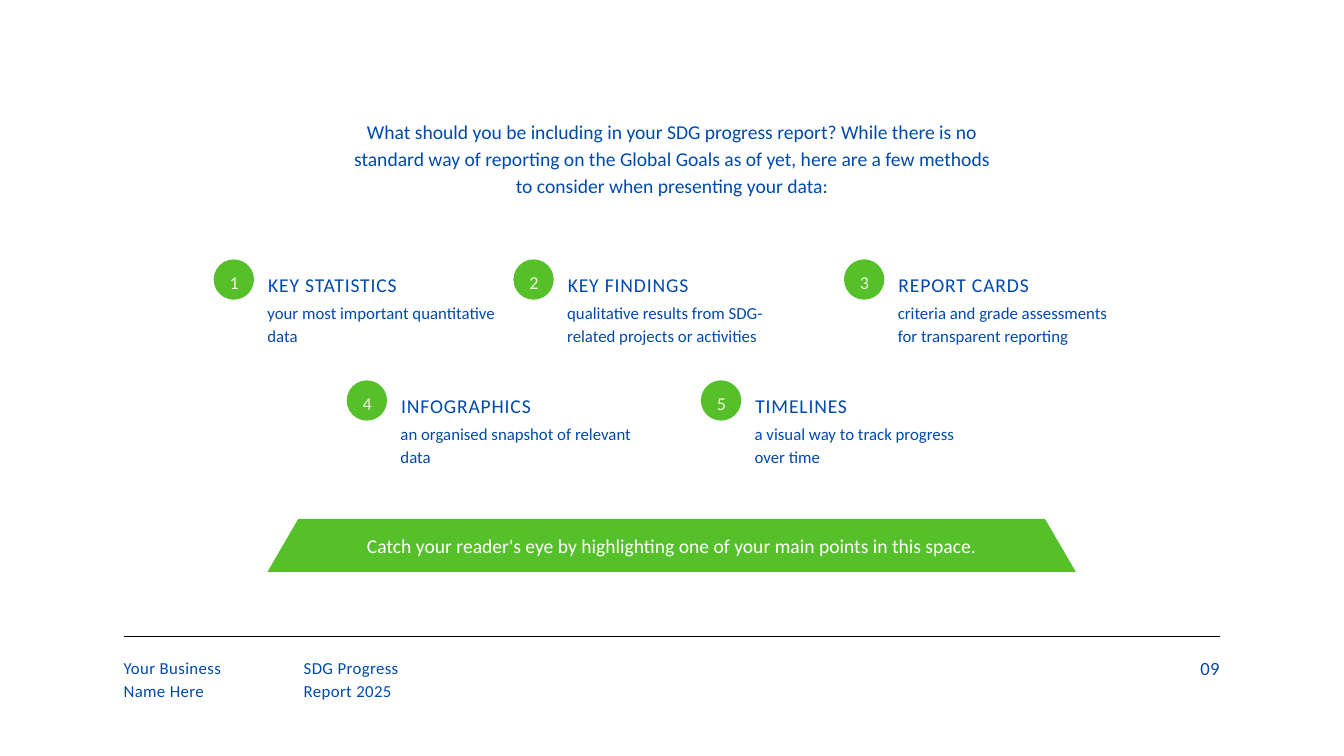
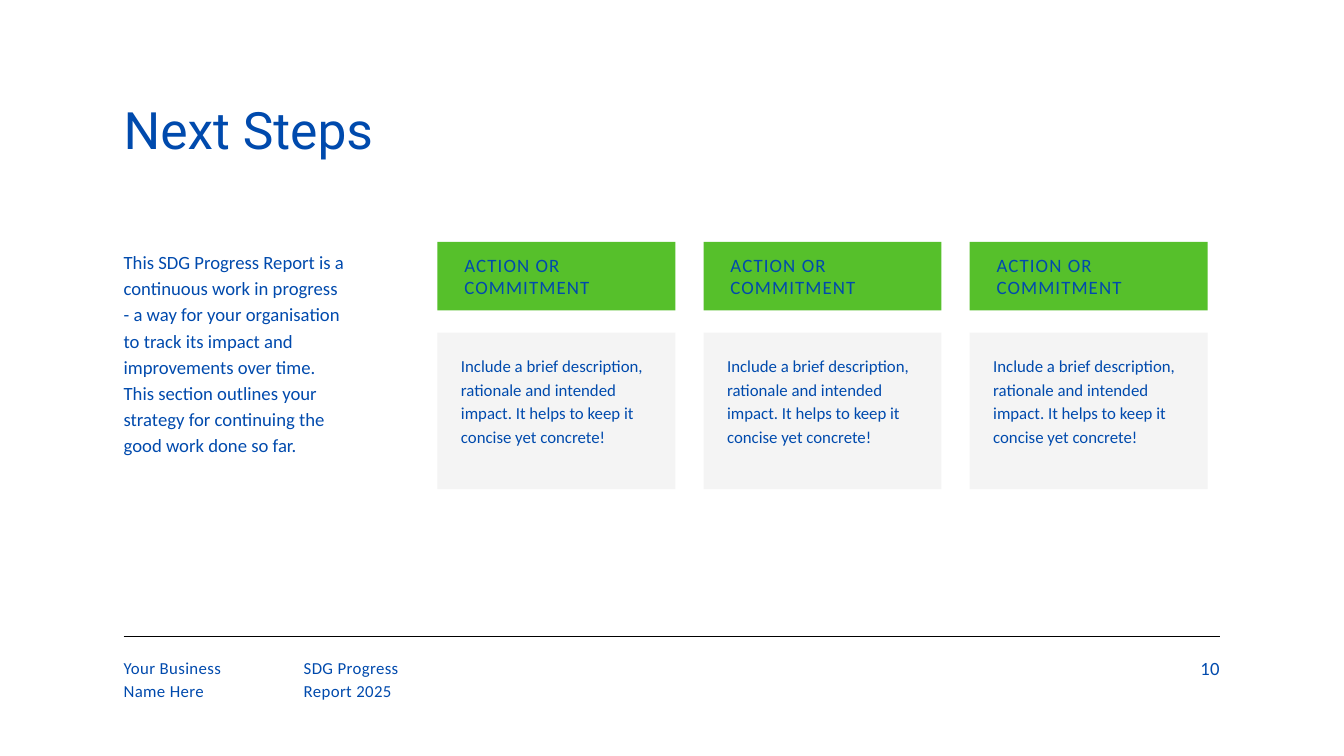
"""Build two slides of a progress report: reporting methods and next steps."""
from lxml import etree
from pptx import Presentation
from pptx.dml.color import RGBColor
from pptx.enum.shapes import MSO_CONNECTOR, MSO_SHAPE
from pptx.enum.text import MSO_ANCHOR, PP_ALIGN
from pptx.oxml.ns import qn
from pptx.util import Inches, Pt

LEFT, MID, RIGHT = PP_ALIGN.LEFT, PP_ALIGN.CENTER, PP_ALIGN.RIGHT
TOP = MSO_ANCHOR.TOP
OVAL, RECT, TRAP = MSO_SHAPE.OVAL, MSO_SHAPE.RECTANGLE, MSO_SHAPE.TRAPEZOID
STRAIGHT = MSO_CONNECTOR.STRAIGHT

COLORS = {"blue": "004AAD", "green": "56C02B", "gray": "F4F4F4",
          "cream": "F1EFE1", "white": "FFFFFF", "black": "000000"}

FRAME = {"margin_left": 0, "margin_top": 0, "margin_right": 0,
         "margin_bottom": 0, "word_wrap": True, "vertical_anchor": TOP}


def style(size, line, color="blue", align=LEFT, track=0, name="Calibri"):
    """Return the format values of one text style."""
    return {"font": {"size": Pt(size), "name": name},
            "para": {"line_spacing": Pt(line), "alignment": align},
            "color": color, "track": track}


STYLES = {
    "title": style(55.2, 58, name="Roboto"),
    "lead": style(21, 29.4, align=MID),
    "callout": style(21, 29.4, "white", MID),
    "number": style(19.4, 32.2, "cream", MID, 80),
    "head": style(21, 34.9, track=90),
    "body": style(18, 25.2),
    "intro": style(20, 28),
    "action": style(20.2, 24.2, track=120),
    "foot": style(18, 25.2, track=40),
    "page": style(20, 28, align=RIGHT, track=40),
}


def assign(target, values):
    """Set each named attribute on the target."""
    for key, value in values.items():
        setattr(target, key, value)


class Deck:
    """Hold the presentation, its style and the current slide."""

    def __init__(self):
        """Start an empty deck of the right size."""
        self.show = Presentation()
        assign(self.show, {"slide_width": Inches(20),
                           "slide_height": Inches(11.25)})
        self.slide = None

    def color(self, name):
        """Look up a palette colour."""
        return RGBColor.from_string(COLORS[name])

    def page(self, number):
        """Add a slide with the shared footer."""
        self.slide = self.show.slides.add_slide(self.show.slide_layouts[6])
        self.rule(1.84, 18.16, 9.47)
        self.text(1.84, 9.73, 2.27, 0.68, "foot", "Your Business", "Name Here")
        self.text(4.52, 9.73, 1.99, 0.68, "foot", "SDG Progress", "Report 2025")
        self.text(16.16, 9.72, 1.99, 0.38, "page", number)

    def rule(self, start, end, y):
        """Draw a thin level line."""
        line = self.slide.shapes.add_connector(
            STRAIGHT, Inches(start), Inches(y), Inches(end), Inches(y))
        line.line.color.rgb = self.color("black")
        line.line.width = Pt(0.75)
        etree.SubElement(line._element.spPr, qn("a:effectLst"))

    def shape(self, kind, x, y, w, h, color):
        """Draw a flat filled shape."""
        item = self.slide.shapes.add_shape(
            kind, Inches(x), Inches(y), Inches(w), Inches(h))
        item.shadow.inherit = False
        item.fill.solid()
        item.fill.fore_color.rgb = self.color(color)
        item.line.fill.background()
        return item

    def text(self, x, y, w, h, kind, *lines):
        """Place a text box with one paragraph for each line."""
        look = STYLES[kind]
        box = self.slide.shapes.add_textbox(
            Inches(x), Inches(y), Inches(w), Inches(h))
        frame = box.text_frame
        assign(frame, FRAME)
        for index, line in enumerate(lines):
            para = frame.add_paragraph() if index else frame.paragraphs[0]
            assign(para, look["para"])
            run = para.add_run()
            run.text = line
            assign(run.font, look["font"])
            run.font.color.rgb = self.color(look["color"])
            if look["track"]:
                run._r.get_or_add_rPr().set("spc", str(look["track"]))

    def method(self, x, y, number, head, body):
        """Draw a numbered disc with a heading and a short text."""
        self.shape(OVAL, x, y, 0.6, 0.6, "green")
        self.text(x + 0.17, y + 0.06, 0.27, 0.4, "number", str(number))
        self.text(x + 0.81, y + 0.06, 3.45, 0.42, "head", head)
        self.text(x + 0.8, y + 0.59, 3.46, 0.67, "body", body)

    def action(self, x, head, body):
        """Draw a green heading card above a gray text card."""
        self.shape(RECT, x, 3.6, 3.54, 1.02, "green")
        self.text(x + 0.4, 3.77, 2.75, 0.67, "action", head)
        self.shape(RECT, x, 4.95, 3.54, 2.33, "gray")
        self.text(x + 0.35, 5.25, 2.84, 1.7, "body", body)

    def banner(self, x, y, w, h, slant):
        """Draw a green band with slanted ends."""
        band = self.shape(TRAP, x, y, w, h, "green")
        band.adjustments[0] = slant / h


METHODS = [
    (3.18, 3.86, "KEY STATISTICS", "your most important quantitative data"),
    (7.64, 3.86, "KEY FINDINGS",
     "qualitative results from SDG-related projects or activities"),
    (12.56, 3.86, "REPORT CARDS",
     "criteria and grade assessments for transparent reporting"),
    (5.16, 5.66, "INFOGRAPHICS", "an organised snapshot of relevant data"),
    (10.43, 5.66, "TIMELINES", "a visual way to track progress over time"),
]


def methods(deck):
    """Build the slide of reporting methods."""
    deck.page("09")
    deck.text(5.16, 1.72, 9.68, 1.21, "lead",
              "What should you be including in your SDG progress report? "
              "While there is no standard way of reporting on the Global Goals "
              "as of yet, here are a few methods to consider when presenting "
              "your data:")
    for number, (x, y, head, body) in enumerate(METHODS, 1):
        deck.method(x, y, number, head, body)
    deck.banner(3.98, 7.72, 12.03, 0.79, 0.46)
    deck.text(4.68, 7.89, 10.63, 0.4, "callout",
              "Catch your reader's eye by highlighting one of your main points "
              "in this space.")


def steps(deck):
    """Build the slide of next steps."""
    deck.page("10")
    deck.text(1.84, 1.58, 7.7, 0.96, "title", "Next Steps")
    deck.text(1.84, 3.68, 3.33, 3.47, "intro",
              "This SDG Progress Report is a continuous work in progress - a "
              "way for your organisation to track its impact and improvements "
              "over time. This section outlines your strategy for continuing "
              "the good work done so far.")
    for col in range(3):
        deck.action(6.51 + col * 3.96, "ACTION OR COMMITMENT",
                    "Include a brief description, rationale and intended "
                    "impact. It helps to keep it concise yet concrete!")


def main():
    """Build and save the deck."""
    deck = Deck()
    methods(deck)
    steps(deck)
    deck.show.save("out.pptx")


if __name__ == "__main__":
    main()
